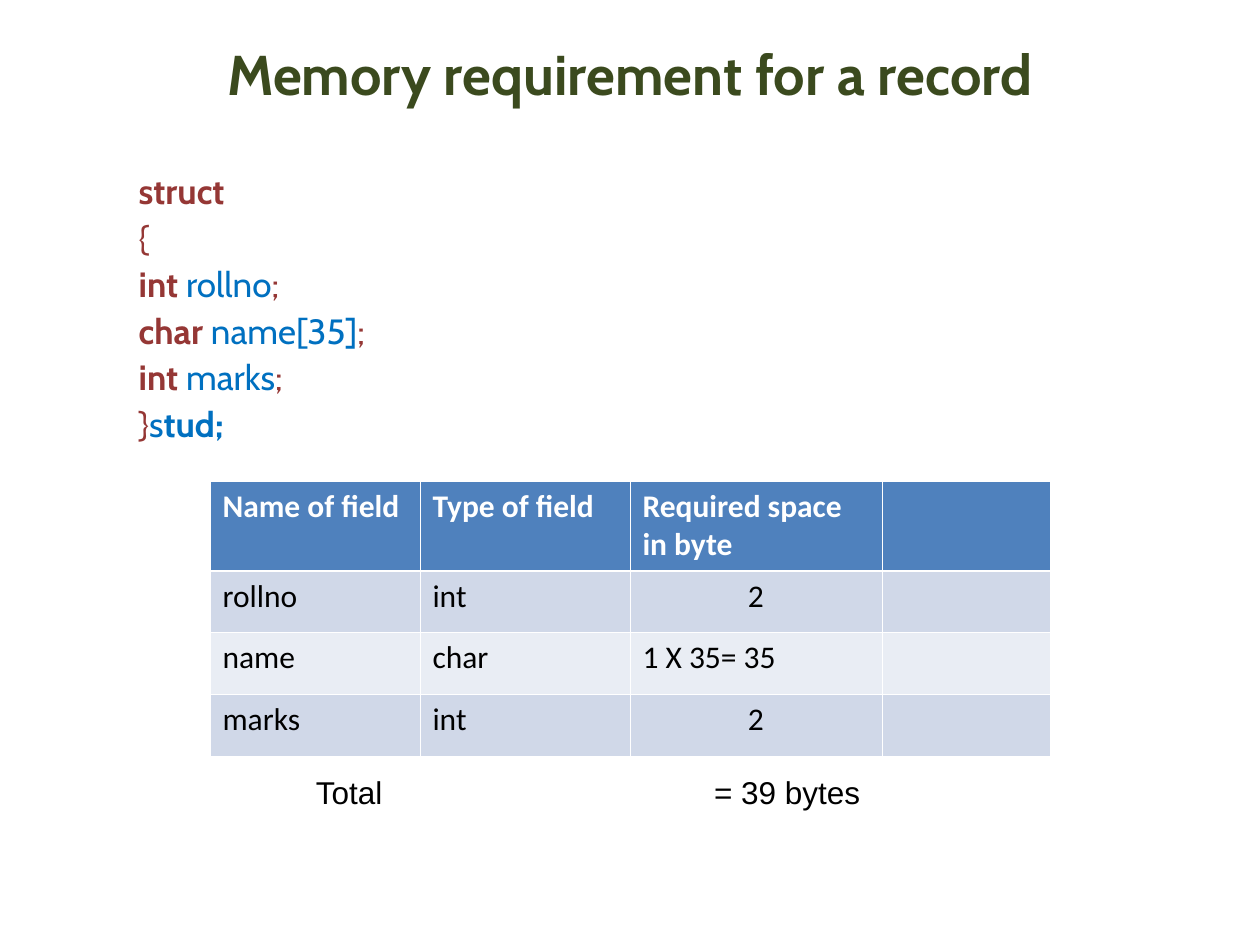
from lxml import etree
from pptx import Presentation
from pptx import util as u
from pptx.dml.color import RGBColor
from pptx.enum import text
from pptx.oxml import ns

OLIVE = RGBColor(0x3B, 0x4A, 0x1E)
MAROON = RGBColor(0x95, 0x37, 0x35)
BLUE = RGBColor(0x00, 0x70, 0xC0)
HEADER_BLUE = RGBColor(0x4F, 0x81, 0xBD)
BAND_DARK = RGBColor(0xD0, 0xD8, 0xE8)
BAND_LIGHT = RGBColor(0xE9, 0xED, 0xF4)
WHITE = RGBColor(0xFF, 0xFF, 0xFF)
BLACK = RGBColor(0x00, 0x00, 0x00)

# Each line of code is a list of (words, colour, bold).
STRUCT_CODE = [
    [("struct", MAROON, True)],
    [("{", MAROON, False)],
    [("int ", MAROON, True), ("rollno", BLUE, False), (";", MAROON, False)],
    [("char ", MAROON, True), ("name[35]", BLUE, False), (";", MAROON, False)],
    [("int ", MAROON, True), ("marks", BLUE, False), (";", MAROON, False)],
    [("}", MAROON, False), ("s", BLUE, False), ("tud;", BLUE, True)],
]
FIELDS = [
    ["Name of field", "Type of field", "Required space\nin byte", ""],
    ["rollno", "int", "2", ""],
    ["name", "char", "1 X 35= 35", ""],
    ["marks", "int", "2", ""],
]


def place(shape, left, top, width, height):
    shape.left, shape.top = u.Pt(left), u.Pt(top)
    shape.width, shape.height = u.Pt(width), u.Pt(height)


def draw_borders(cell, top, bottom):
    """Give a cell white edges; the side edges are thin."""
    properties = cell._tc.get_or_add_tcPr()
    for side, width in (("L", 0.45), ("R", 0.45), ("T", top), ("B", bottom)):
        edge = etree.SubElement(properties, ns.qn(f"a:ln{side}"), w=str(u.Pt(width)))
        fill = etree.SubElement(edge, ns.qn("a:solidFill"))
        etree.SubElement(fill, ns.qn("a:srgbClr"), val=str(WHITE))


class RecordSlide:
    heading_font = "Cabin"
    table_font = "Calibri"
    total_font = "Arial"

    def __init__(self, presentation):
        self.slide = presentation.slides.add_slide(presentation.slide_layouts[1])

    def style(self, run, font, size, colour, bold=False):
        run.font.name = font
        run.font.size = u.Pt(size)
        run.font.color.rgb = colour
        run.font.bold = bold

    def title(self, words):
        heading = self.slide.shapes.title
        place(heading, 36, 6, 648, 72)
        frame = heading.text_frame
        frame.text = words
        frame.vertical_anchor = text.MSO_ANCHOR.MIDDLE
        frame.paragraphs[0].alignment = text.PP_ALIGN.CENTER
        self.style(frame.paragraphs[0].runs[0], self.heading_font, 32, OLIVE, True)

    def code(self, lines):
        body = self.slide.placeholders[1]
        place(body, 36, 96, 648, 396)
        frame = body.text_frame
        frame.auto_size = text.MSO_AUTO_SIZE.NONE
        frame.text = "\n".join("".join(part[0] for part in line) for line in lines)
        for paragraph, line in zip(frame.paragraphs, lines):
            paragraph.clear()
            paragraph.line_spacing = 0.9
            paragraph.space_before = u.Pt(5)
            properties = paragraph._p.get_or_add_pPr()
            properties.set("marL", str(u.Pt(58.5)))
            properties.set("indent", str(u.Pt(-22.5)))
            etree.SubElement(properties, ns.qn("a:buNone"))
            for words, colour, bold in line:
                run = paragraph.add_run()
                run.text = words
                self.style(run, self.heading_font, 20, colour, bold)

    def table(self, rows, widths, heights):
        grid = self.slide.shapes.add_table(
            len(rows), len(widths), u.Pt(120), u.Pt(275),
            u.Pt(sum(widths)), u.Pt(sum(heights))).table
        for column, width in zip(grid.columns, widths):
            column.width = u.Pt(width)
        for index, (row, height) in enumerate(zip(grid.rows, heights)):
            row.height = u.Pt(height)
            header = index == 0
            band = HEADER_BLUE if header else (BAND_LIGHT, BAND_DARK)[index % 2]
            for cell, words in zip(row.cells, rows[index]):
                draw_borders(cell, 1.47 if index == 1 else 0.45, 1.47 if header else 0.45)
                cell.fill.solid()
                cell.fill.fore_color.rgb = band
                cell.text_frame.text = words
                for paragraph in cell.text_frame.paragraphs:
                    if words.isdigit():
                        paragraph.alignment = text.PP_ALIGN.CENTER
                    for run in paragraph.runs:
                        self.style(run, self.table_font, 18, WHITE if header else BLACK, header)

    def total(self, label, amount):
        """Write the label and the amount on one line, parted by a tab stop."""
        box = self.slide.shapes.add_textbox(u.Pt(114), u.Pt(438), u.Pt(444), u.Pt(29))
        frame = box.text_frame
        frame.word_wrap = True
        frame.margin_left = u.Pt(66.5)
        frame.text = f"{label}\t{amount}"
        paragraph = frame.paragraphs[0]
        stops = etree.SubElement(paragraph._p.get_or_add_pPr(), ns.qn("a:tabLst"))
        etree.SubElement(stops, ns.qn("a:tab"), pos=str(u.Pt(227.5)), algn="l")
        self.style(paragraph.runs[0], self.total_font, 18, BLACK)


def main():
    presentation = Presentation()
    presentation.slide_width, presentation.slide_height = u.Pt(720), u.Pt(540)
    record = RecordSlide(presentation)
    record.title("Memory requirement for a record")
    record.code(STRUCT_CODE)
    record.table(FIELDS, [120, 120, 144, 96], [51] + [35.4] * 3)
    record.total("Total", "= 39 bytes")
    presentation.save("out.pptx")


if __name__ == "__main__":
    main()
